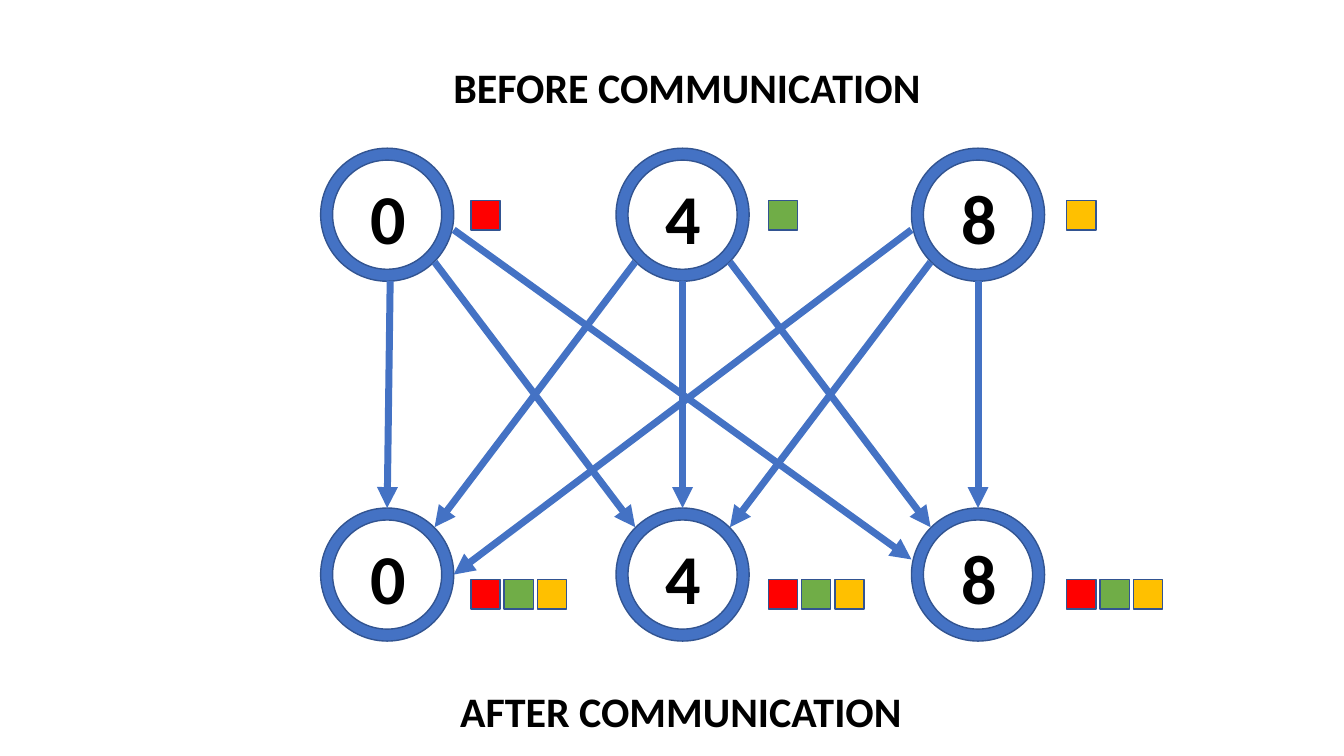
from dataclasses import dataclass
from itertools import product

from lxml.etree import SubElement
from pptx import Presentation
from pptx.dml.color import RGBColor
from pptx.enum.shapes import MSO_CONNECTOR, MSO_SHAPE
from pptx.enum.text import MSO_AUTO_SIZE, PP_ALIGN
from pptx.oxml.ns import qn
from pptx.util import Inches, Pt


@dataclass(frozen=True)
class Theme:
    font: str = "Calibri"
    heading_size: int = 30
    digit_size: int = 50
    outline_width: int = 1
    arrow_width: int = 5
    text: str = "000000"
    blue: str = "4472C4"
    outline: str = "325491"
    red: str = "FF0000"
    green: str = "70AD47"
    yellow: str = "FFC000"


class SlideBuilder:
    def __init__(self, slide, theme):
        self.shapes = slide.shapes
        self.theme = theme

    def shape(self, preset, left, top, size, color):
        shape = self.shapes.add_shape(
            preset, Inches(left), Inches(top), Inches(size), Inches(size))
        shape.shadow.inherit = False
        shape.fill.solid()
        shape.fill.fore_color.rgb = RGBColor.from_string(color)
        shape.line.color.rgb = RGBColor.from_string(self.theme.outline)
        shape.line.width = Pt(self.theme.outline_width)
        return shape

    def ring(self, left, top, size):
        ring = self.shape(MSO_SHAPE.DONUT, left, top, size, self.theme.blue)
        ring.adjustments[0] = 0.09

    def square(self, left, top, color):
        self.shape(MSO_SHAPE.RECTANGLE, left, top, 0.29, color)

    def arrow(self, start_x, start_y, end_x, end_y):
        connector = self.shapes.add_connector(
            MSO_CONNECTOR.STRAIGHT, Inches(start_x), Inches(start_y),
            Inches(end_x), Inches(end_y))
        connector.line.color.rgb = RGBColor.from_string(self.theme.blue)
        connector.line.width = Pt(self.theme.arrow_width)
        SubElement(connector.line._get_or_add_ln(), qn("a:tailEnd"), type="triangle")
        SubElement(connector._element.spPr, qn("a:effectLst"))

    def text(self, content, left, top, width, height, size):
        box = self.shapes.add_textbox(
            Inches(left), Inches(top), Inches(width), Inches(height))
        frame = box.text_frame
        frame.word_wrap = True
        frame.auto_size = MSO_AUTO_SIZE.SHAPE_TO_FIT_TEXT
        paragraph = frame.paragraphs[0]
        paragraph.alignment = PP_ALIGN.CENTER
        run = paragraph.add_run()
        run.text = content
        run.font.name = self.theme.font
        run.font.size = Pt(size)
        run.font.bold = True
        run.font.color.rgb = RGBColor.from_string(self.theme.text)


RING_SIZE = 1.32
RADIUS = RING_SIZE / 2
NODES = ("0", "4", "8")
CENTERS = [3.84 + 2.93 * column for column in range(len(NODES))]
BEFORE_Y, AFTER_Y = 2.13, 5.7
SQUARE_LEFTS = (4.67, 7.62, 10.58)
SQUARE_STEP = 0.33

# Offset from a ring's centre to the arrow's end, by columns crossed
ARROW_OFFSETS = ((0, RADIUS), (0.47, 0.47), (RADIUS, 0.15))


def draw_arrows(builder):
    """Link every node before communication to every node after it."""
    for source, target in product(range(len(NODES)), repeat=2):
        direction = 1 if target > source else -1
        offset_x, offset_y = ARROW_OFFSETS[abs(target - source)]
        start_x = CENTERS[source] + direction * offset_x
        end_x = CENTERS[target] - direction * offset_x
        end_y = AFTER_Y - offset_y
        if (source, target) == (0, 0):
            start_x += 0.03
        if (source, target) == (2, 0):
            end_y = AFTER_Y
        builder.arrow(start_x, BEFORE_Y + offset_y, end_x, end_y)


def main():
    presentation = Presentation()
    presentation.slide_width = Inches(13.33)
    presentation.slide_height = Inches(7.5)
    slide = presentation.slides.add_slide(presentation.slide_layouts[6])
    theme = Theme()
    builder = SlideBuilder(slide, theme)
    colors = (theme.red, theme.green, theme.yellow)

    for center_y, center_x in product((BEFORE_Y, AFTER_Y), CENTERS):
        builder.ring(center_x - RADIUS, center_y - RADIUS, RING_SIZE)

    for left, own_color in zip(SQUARE_LEFTS, colors):
        builder.square(left, 1.99, own_color)
        for position, color in enumerate(colors):
            builder.square(left + position * SQUARE_STEP, 5.75, color)

    draw_arrows(builder)

    for center_y, (center_x, digit) in product(
            (BEFORE_Y, AFTER_Y), zip(CENTERS, NODES)):
        builder.text(digit, center_x - 0.39, center_y - 0.45, 0.8, 0.94,
                     theme.digit_size)

    builder.text("BEFORE COMMUNICATION", 4.3, 0.56, 5.03, 0.61, theme.heading_size)
    builder.text("AFTER COMMUNICATION", 4.24, 6.75, 5.03, 0.61, theme.heading_size)
    presentation.save("out.pptx")


if __name__ == "__main__":
    main()
